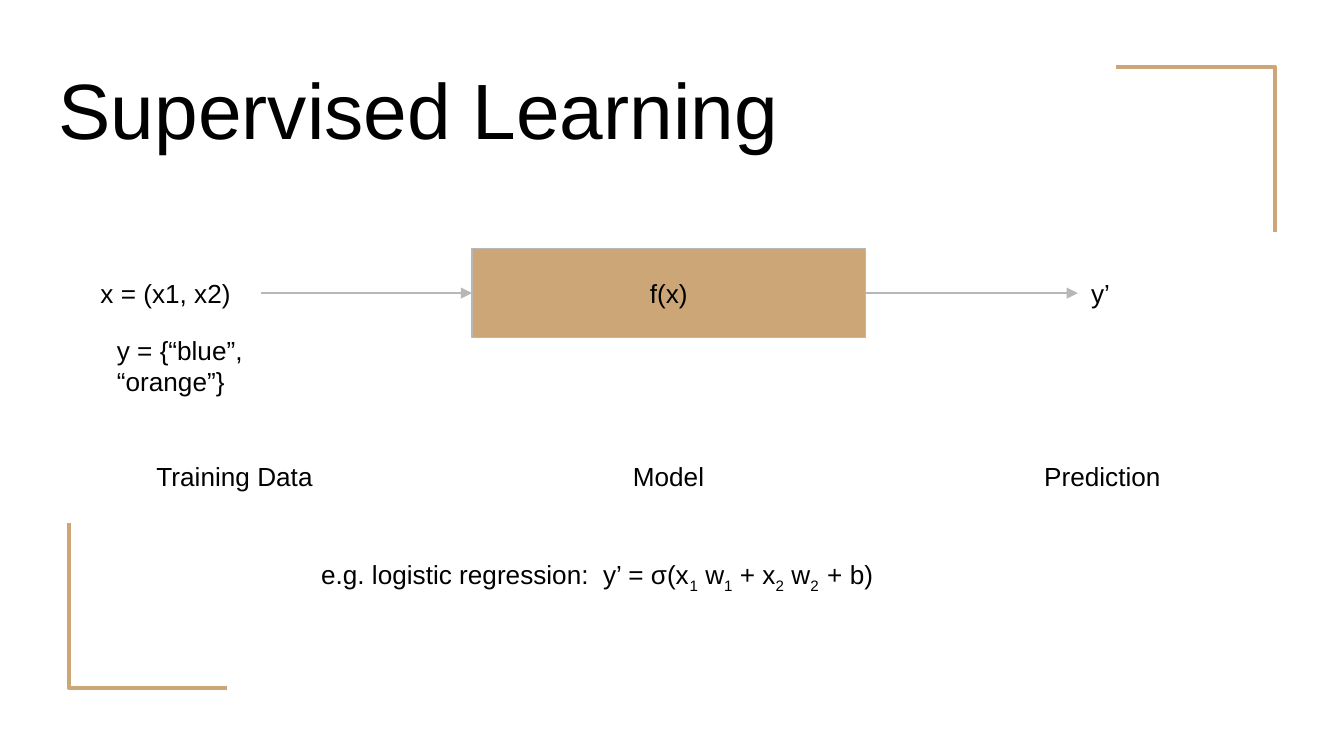
from lxml.etree import SubElement
from pptx import Presentation
from pptx.dml.color import RGBColor
from pptx.enum.shapes import MSO_CONNECTOR, MSO_SHAPE
from pptx.enum.text import MSO_ANCHOR, PP_ALIGN
from pptx.oxml.ns import qn
from pptx.util import Cm, Pt

TAN = RGBColor(0xCC, 0xA6, 0x77)
GREY = RGBColor(0xB7, 0xB7, 0xB7)
BLACK = RGBColor(0, 0, 0)


class SlideBuilder:
    """Draw the elements of one slide in a shared style."""

    font = "Arial"
    body_size = 14
    inset = 0.25

    def __init__(self, slide):
        self.slide = slide

    def set_text(self, shape, parts, size=body_size, align=PP_ALIGN.LEFT, anchor=MSO_ANCHOR.MIDDLE):
        frame = shape.text_frame
        frame.word_wrap = True
        frame.vertical_anchor = anchor
        frame.margin_left = frame.margin_right = Cm(self.inset)
        frame.margin_top = frame.margin_bottom = Cm(self.inset)
        paragraph = frame.paragraphs[0]
        paragraph.alignment = align
        paragraph.font.name = self.font
        paragraph.font.size = Pt(size)
        paragraph.font.color.rgb = BLACK
        for index, part in enumerate(parts):
            run = paragraph.add_run()
            run.text = part
            if index % 2:
                run._r.get_or_add_rPr().set("baseline", "-25000")

    def text(self, box, *parts, **style):
        self.set_text(self.slide.shapes.add_textbox(*map(Cm, box)), parts, **style)

    def block(self, box, label):
        block = self.slide.shapes.add_shape(MSO_SHAPE.RECTANGLE, *map(Cm, box))
        block.shadow.inherit = False
        block.fill.solid()
        block.fill.fore_color.rgb = TAN
        block.line.color.rgb = GREY
        block.line.width = Pt(0.75)
        self.set_text(block, [label], align=PP_ALIGN.CENTER)

    def arrow(self, start, end, y):
        arrow = self.slide.shapes.add_connector(
            MSO_CONNECTOR.STRAIGHT, Cm(start), Cm(y), Cm(end), Cm(y))
        arrow.line.color.rgb = GREY
        arrow.line.width = Pt(0.75)
        properties = arrow._element.spPr
        SubElement(properties.find(qn("a:ln")), qn("a:tailEnd"), type="triangle")
        SubElement(properties, qn("a:effectLst"))

    def bracket(self, *points):
        first, *rest = [(Cm(x), Cm(y)) for x, y in points]
        outline = self.slide.shapes.build_freeform(*first)
        outline.add_line_segments(rest, close=False)
        bracket = outline.convert_to_shape()
        bracket.shadow.inherit = False
        bracket.fill.background()
        bracket.line.color.rgb = TAN
        bracket.line.width = Pt(2.25)


def main():
    deck = Presentation()
    deck.slide_width, deck.slide_height = Cm(25.4), Cm(14.29)
    builder = SlideBuilder(deck.slides.add_slide(deck.slide_layouts[6]))

    builder.bracket((24.1, 4.39), (24.1, 1.27), (21.1, 1.27))
    builder.bracket((1.3, 9.88), (1.3, 13), (4.3, 13))

    flow_top, row_height = 4.7, 1.68
    flow_middle = flow_top + row_height / 2
    input_right, model_left, model_right, output_left = 4.93, 8.92, 16.36, 20.37
    builder.arrow(input_right, model_left, flow_middle)
    builder.block((model_left, flow_top, model_right - model_left, row_height), "f(x)")
    builder.arrow(model_right, output_left, flow_middle)
    builder.text((1.65, flow_top, input_right - 1.65, row_height), "x = (x1, x2)")
    builder.text((output_left, flow_top, 0.97, row_height), "y’")
    builder.text((1.96, 6.07, input_right - 1.96, row_height), "y = {“blue”, “orange”}")

    for column, stage in enumerate(("Training Data", "Model", "Prediction")):
        builder.text((2.44 + column * 8.2, 8.15, 3.99, row_height), stage, align=PP_ALIGN.CENTER)

    builder.text((0.86, 0.89, 23.67, 2.31), "Supervised Learning", size=42)
    builder.text((5.82, 10.31, 14.1, 1.65),
                 "e.g. logistic regression:  y’ = σ(x", "1", " w", "1", " + x", "2",
                 " w", "2  ", "+ b)", anchor=MSO_ANCHOR.TOP)

    deck.save("out.pptx")


if __name__ == "__main__":
    main()
